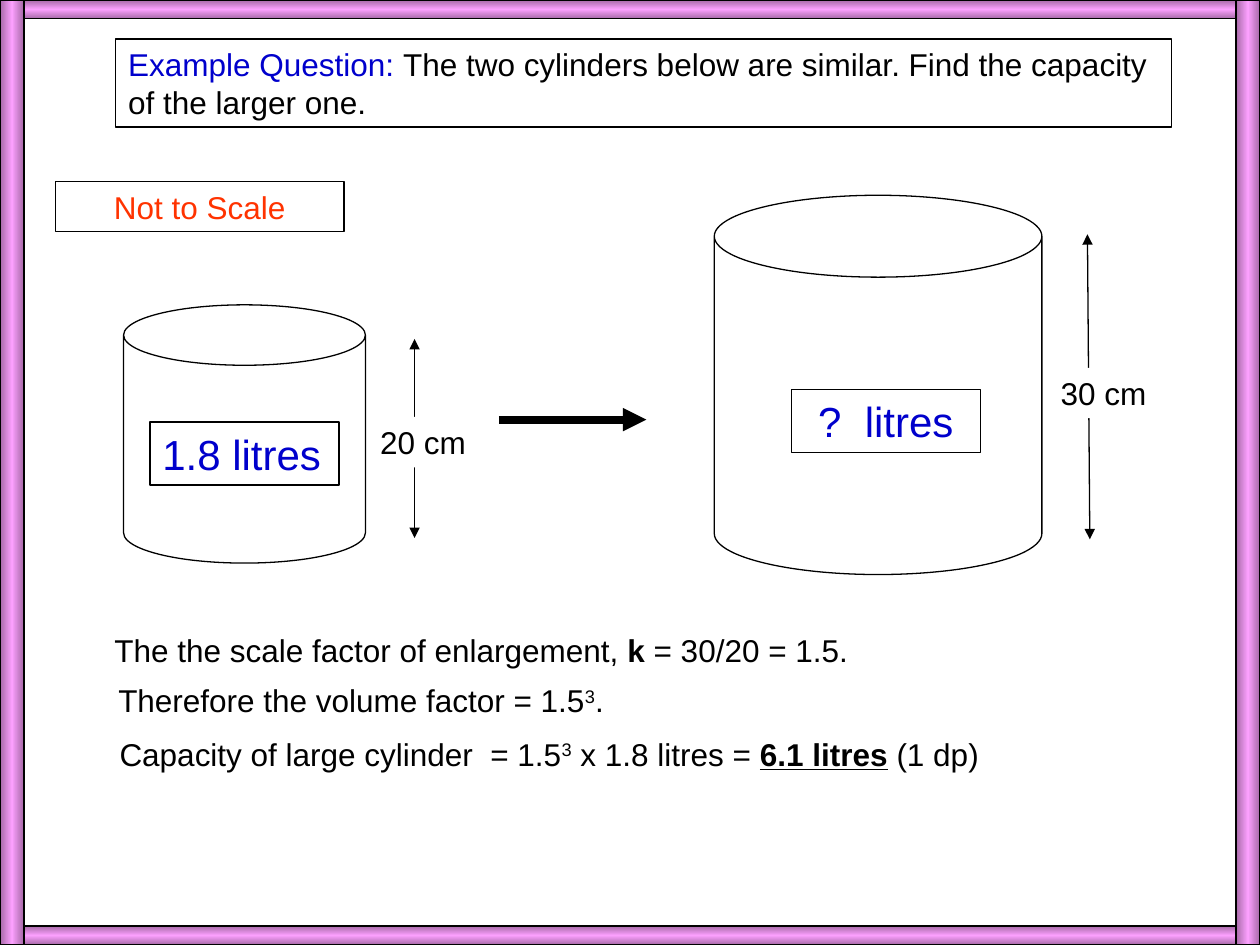
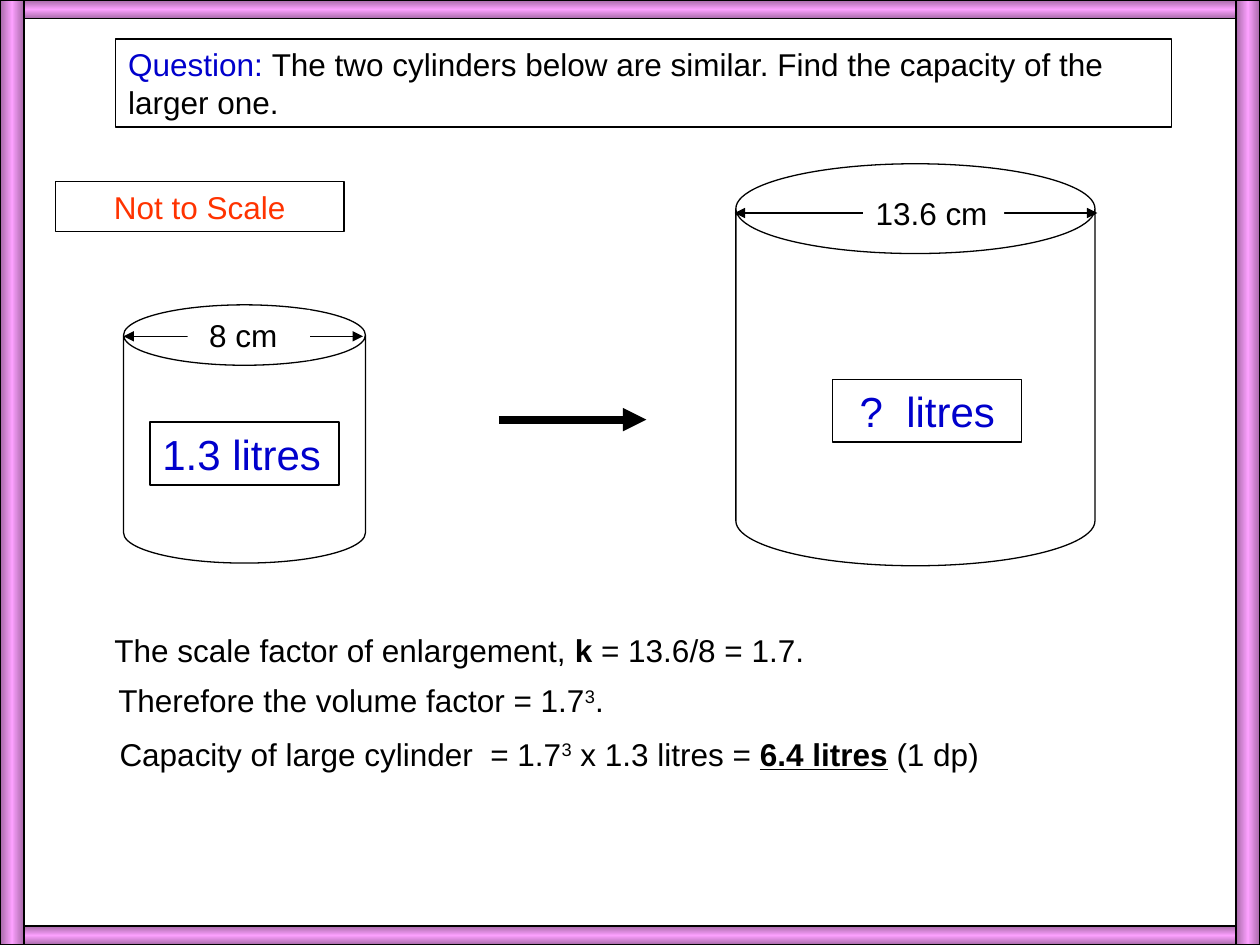
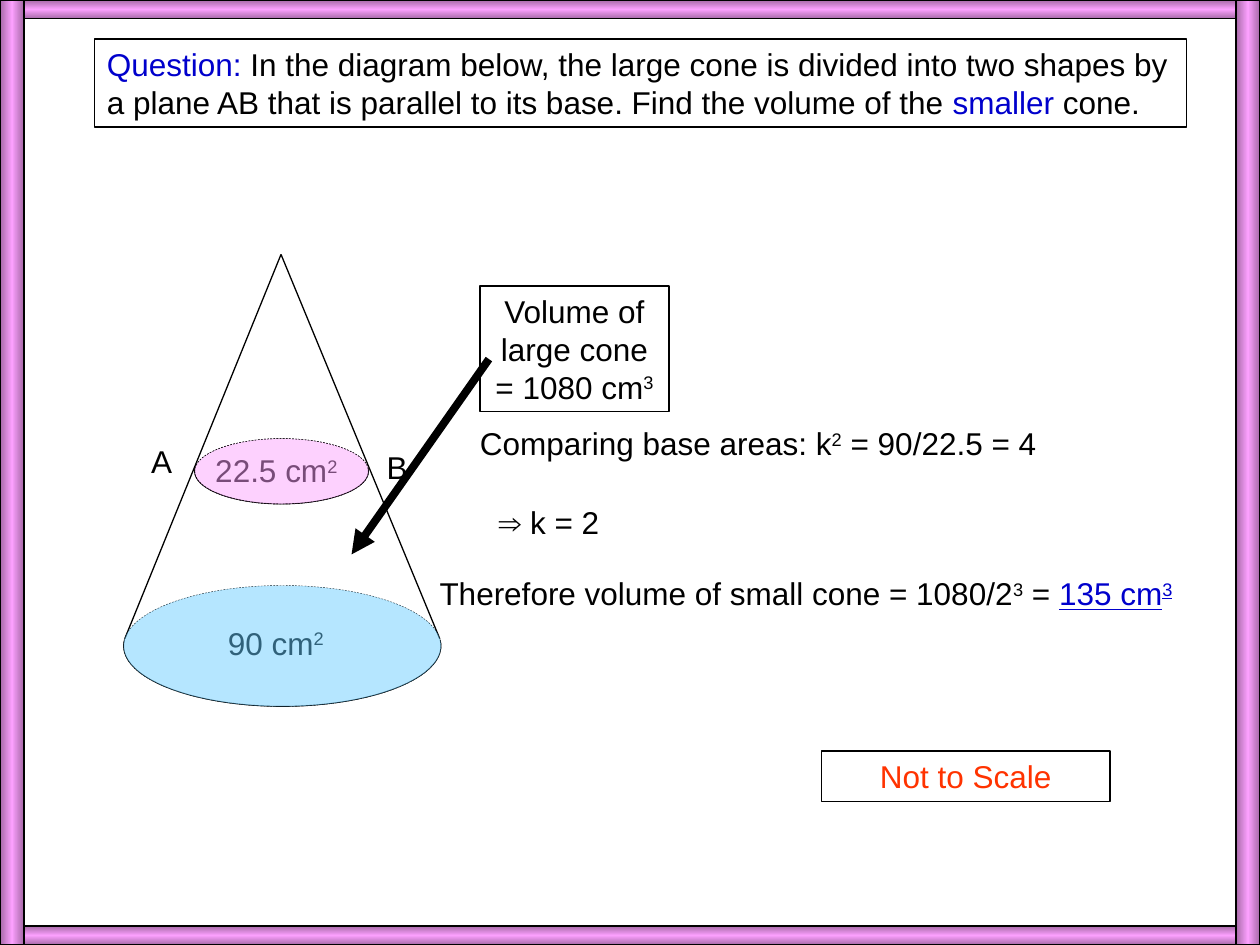
from copy import deepcopy
from math import cos, radians, sin

from lxml import etree
from pptx import Presentation
from pptx.dml.color import RGBColor
from pptx.enum import dml, shapes, text
from pptx.oxml.ns import qn
from pptx.util import Pt

WIDTH, HEIGHT = 720, 540
BLACK, WHITE, BLUE, RED = "000000", "FFFFFF", "0000CC", "FF3300"
PINK, MAUVE, SKY = "FCA0FE", "A669A7", "66CCFF"
KIND = shapes.MSO_SHAPE
CENTER = text.PP_ALIGN.CENTER


def rgb(value):
    return RGBColor.from_string(value)


class Lesson:
    """Holds the lesson style and draws on the current slide."""

    font, size, inset = "Arial", 18, (7.2, 3.6)

    def __init__(self):
        self.deck = Presentation()
        self.deck.slide_width, self.deck.slide_height = Pt(WIDTH), Pt(HEIGHT)

    def new_slide(self):
        self.shapes = self.deck.slides.add_slide(self.deck.slide_layouts[6]).shapes
        bar, post = 10.8, 13.7
        for top in (0, HEIGHT - bar):
            self.border(0, top, WIDTH, bar, 90)
        for left in (0, WIDTH - post):
            self.border(left, 0, post, HEIGHT, 0)

    def border(self, left, top, width, height, angle):
        edge = self.shape(KIND.RECTANGLE, left, top, width, height)
        edge.fill.gradient()
        edge.fill.gradient_angle = angle
        stops = edge._element.spPr.find(".//" + qn("a:gsLst"))
        stops.append(deepcopy(stops[0]))
        blend = ((0, MAUVE), (0.5, PINK), (1, MAUVE))
        for stop, (position, color) in zip(edge.fill.gradient_stops, blend):
            stop.position, stop.color.rgb = position, rgb(color)

    def paint(self, item, fill=None, line=BLACK, weight=0.75, dashed=False, alpha=None):
        item.shadow.inherit = False
        if fill:
            item.fill.solid()
            item.fill.fore_color.rgb = rgb(fill)
        else:
            item.fill.background()
        if alpha:
            color = item._element.spPr.find(qn("a:solidFill"))[0]
            etree.SubElement(color, qn("a:alpha")).set("val", str(alpha * 1000))
        if line:
            item.line.color.rgb = rgb(line)
            item.line.width = Pt(weight)
        else:
            item.line.fill.background()
        if dashed:
            item.line.dash_style = dml.MSO_LINE.DASH

    def shape(self, kind, left, top, width, height, **style):
        item = self.shapes.add_shape(kind, Pt(left), Pt(top), Pt(width), Pt(height))
        self.paint(item, **style)
        return item

    def set_text(self, frame, runs, color, size, align, indent):
        frame.word_wrap = True
        frame.vertical_anchor = text.MSO_ANCHOR.TOP
        frame.margin_left = Pt(self.inset[0] + indent)
        frame.margin_right = Pt(self.inset[0])
        frame.margin_top = frame.margin_bottom = Pt(self.inset[1])
        paragraph = frame.paragraphs[0]
        paragraph.alignment = align or text.PP_ALIGN.LEFT
        paragraph.line_spacing = Pt(size * 1.2)
        paragraph.font.name, paragraph.font.size = self.font, Pt(size)
        paragraph.font.color.rgb = rgb(color)
        for part in runs:
            words, *marks = (part,) if isinstance(part, str) else part
            run = paragraph.add_run()
            run.text = words
            if "bold" in marks:
                run.font.bold = True
            if "underline" in marks:
                run.font.underline = True
            if "raised" in marks:
                run._r.get_or_add_rPr().set("baseline", "30000")
            if "blue" in marks:
                run.font.color.rgb = rgb(BLUE)

    def height(self, lines, size):
        return lines * size * 1.2 + 2 * self.inset[1]

    def box(self, left, top, width, *runs, lines=1, color=BLACK, size=size,
            align=None, indent=0, **style):
        item = self.shape(KIND.RECTANGLE, left, top, width,
                          self.height(lines, size), **style)
        self.set_text(item.text_frame, runs, color, size, align, indent)

    def note(self, left, top, width, *runs):
        item = self.shapes.add_textbox(Pt(left), Pt(top), Pt(width),
                                       Pt(self.height(1, self.size)))
        self.set_text(item.text_frame, runs, BLACK, self.size, None, 0)

    def label(self, left, top, width, words, indent=0):
        self.box(left, top, width, words, indent=indent, fill=WHITE, line=None)

    def question(self, left, width, *runs):
        self.box(left, 22.3, width, *runs, lines=2)

    def not_to_scale(self, left, top):
        self.box(left, top, 164.9, "Not to Scale", color=RED, align=CENTER)

    def capacity(self, left, top, words, align=None):
        self.box(left, top, 108, words, color=BLUE, size=24, align=align)

    def line(self, x1, y1, x2, y2, weight=0.75, ends=()):
        item = self.shapes.add_connector(shapes.MSO_CONNECTOR.STRAIGHT,
                                         Pt(x1), Pt(y1), Pt(x2), Pt(y2))
        item.line.color.rgb, item.line.width = rgb(BLACK), Pt(weight)
        outline = item._element.spPr.find(qn("a:ln"))
        for end in ends:
            etree.SubElement(outline, qn("a:" + end)).set("type", "triangle")
        etree.SubElement(item._element.spPr, qn("a:effectLst"))

    def measure(self, *ends):
        self.line(*ends, ends=("headEnd", "tailEnd"))

    def pointer(self, *ends):
        self.line(*ends, weight=4.5, ends=("tailEnd",))

    def front_rim(self, left, top, width, height):
        rx, ry = width / 2, height / 2
        points = [(Pt(left + rx + rx * cos(radians(a))), Pt(top + ry + ry * sin(radians(a))))
                  for a in range(-6, 187, 4)]
        rim = self.shapes.build_freeform(*points[0])
        rim.add_line_segments(points[1:], close=False)
        self.paint(rim.convert_to_shape(), weight=0.5)

    def cylinders(self, lead, large, small_capacity, large_capacity, factor, ratio, answer, opening):
        self.new_slide()
        self.question(66.2, 603.4, (lead, "blue"),
                      "The two cylinders below are similar. Find the capacity of the larger one.")
        for cylinder in ((70.6, 174.2, 138.2, 147.6), large):
            self.shape(KIND.CAN, *cylinder, fill=WHITE).adjustments[0] = 0.25
        self.capacity(85.7, 241.2, small_capacity)
        self.pointer(285.1, 239.8, 369.4, 239.8)
        self.capacity(*large_capacity, "?  litres", CENTER)
        self.note(58.3, 357.1, 470.9, opening, ("k", "bold"), f" = {ratio} = {factor}.")
        self.note(60.5, 385.9, 368.6, f"Therefore the volume factor = {factor}",
                  ("3", "raised"), ".")
        self.note(61.2, 416.2, 512.6, f"Capacity of large cylinder  = {factor}", ("3", "raised"),
                  f" x {small_capacity} = ", (answer, "bold", "underline"), " (1 dp)")
        self.not_to_scale(31.7, 103.7)


def cone(lesson):
    lesson.new_slide()
    base, cut = (70.6, 334.6, 181.4, 69.1), (111.2, 250.6, 99.4, 37.4)
    for section in (base, cut):
        lesson.shape(KIND.OVAL, *section, weight=0.25, dashed=True)
        lesson.front_rim(*section)
    for foot in (251.3, 71.3):
        lesson.line(160.6, 145.4, foot, 365)
    lesson.note(123.1, 352.8, 84.2, "90 cm", ("2", "raised"))
    lesson.note(267.1, 239, 360.7, "Comparing base areas: k", ("2", "raised"), " = 90/22.5 = 4")
    lesson.note(115.9, 254.2, 90, "22.5 cm", ("2", "raised"))
    lesson.note(277.9, 283.7, 95.8, "⇒ k = 2")
    lesson.note(244.1, 324.7, 455, "Therefore volume of small cone = 1080/2", ("3", "raised"),
                " = ", ("135 cm", "blue", "underline"), ("3", "blue", "underline", "raised"))
    lesson.question(54, 624.2, ("Question: ", "blue"),
                    "In the diagram below, the large cone is divided into two shapes by a plane AB "
                    "that is parallel to its base. Find the volume of the ",
                    ("smaller", "blue"), " cone.")
    lesson.note(79.2, 249.1, 49.7, "A")
    lesson.note(213.8, 252.7, 49.7, "B")
    lesson.box(274.3, 163.4, 108, "Volume of large cone = 1080 cm", ("3", "raised"),
               lines=3, align=CENTER)
    lesson.pointer(279.4, 205.2, 200.9, 316.8)
    lesson.not_to_scale(469.4, 429.1)
    lesson.shape(KIND.OVAL, *base, fill=SKY, alpha=48, line=None)
    lesson.shape(KIND.OVAL, *cut, fill=PINK, alpha=48, weight=0.25, dashed=True)


def main():
    lesson = Lesson()
    lesson.cylinders("Example Question: ", (408.2, 111.6, 187.2, 216.7), "1.8 litres",
                     (452.2, 222.5), "1.5", "30/20", "6.1 litres",
                     "The the scale factor of enlargement, ")
    lesson.measure(236.9, 193.7, 236.9, 307.4)
    lesson.label(210.2, 238.3, 72, "20 cm")
    lesson.measure(621.4, 133.9, 622.8, 308.2)
    lesson.label(599, 210.2, 72, "30 cm")

    lesson.cylinders("Question: ", (420.5, 93.6, 205.2, 229.7), "1.3 litres",
                     (475.9, 216.7), "1.7", "13.6/8", "6.4 litres",
                     "The scale factor of enlargement, ")
    lesson.measure(70.6, 192.2, 207.4, 192.2)
    lesson.label(107.3, 177.1, 69.8, "8 cm", indent=5)
    lesson.measure(419.8, 121.7, 627.1, 121.7)
    lesson.label(493.2, 107.3, 80.6, "13.6 cm")

    cone(lesson)
    lesson.deck.save("out.pptx")


if __name__ == "__main__":
    main()
